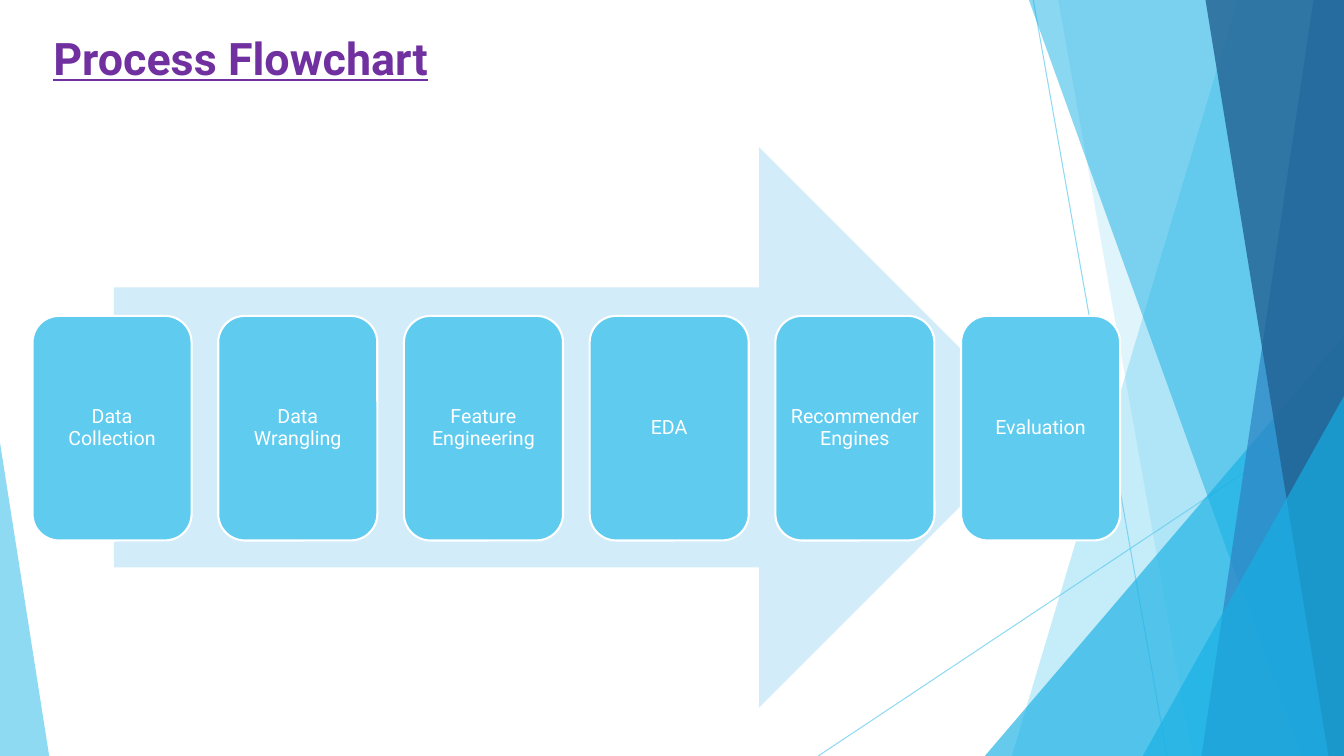
"""Build the process flowchart slide with its faceted blue backdrop."""
from dataclasses import dataclass

from lxml.etree import SubElement
from pptx import Presentation
from pptx.dml.color import RGBColor
from pptx.enum.shapes import MSO_CONNECTOR, MSO_SHAPE as Shape
from pptx.enum.text import MSO_ANCHOR as Anchor, PP_ALIGN as Align
from pptx.oxml.ns import qn
from pptx.util import Cm, Pt

WIDTH, HEIGHT = 33.87, 19.05


@dataclass(frozen=True)
class Theme:
    font: str = "Roboto"
    title_size: int = 32
    card_size: int = 14
    title: str = "7030A0"
    sky: str = "5FCBEF"
    azure: str = "17B0E4"
    blue: str = "2E83C3"
    navy: str = "226292"
    pale: str = "D2ECF9"
    white: str = "FFFFFF"


class SlideBuilder:
    def __init__(self, slide, theme):
        self.slide = slide
        self.shapes = slide.shapes
        self.theme = theme

    def paint(self, fill, color, opacity=100):
        fill.solid()
        fill.fore_color.rgb = RGBColor.from_string(color)
        if opacity < 100:
            for rgb in fill._xPr.iter(qn("a:srgbClr")):
                SubElement(rgb, qn("a:alpha"), val=str(opacity * 1000))

    def finish(self, shape, color, opacity=100):
        shape.shadow.inherit = False
        self.paint(shape.fill, color, opacity)
        shape.line.fill.background()
        return shape

    def preset(self, kind, left, top, width, height, color, opacity=100):
        shape = self.shapes.add_shape(kind, Cm(left), Cm(top), Cm(width), Cm(height))
        return self.finish(shape, color, opacity)

    def triangle(self, left, top, width, apex, color, opacity):
        shape = self.preset(Shape.ISOSCELES_TRIANGLE, left, top, width,
                            HEIGHT - top, color, opacity)
        shape.adjustments[0] = apex

    def band(self, top_x, bottom_x, color, opacity):
        builder = self.shapes.build_freeform(Cm(top_x), 0)
        corners = [(WIDTH, 0), (WIDTH, HEIGHT), (bottom_x, HEIGHT)]
        builder.add_line_segments([(Cm(x), Cm(y)) for x, y in corners])
        self.finish(builder.convert_to_shape(), color, opacity)

    def line(self, start_x, start_y, end_x, end_y):
        connector = self.shapes.add_connector(
            MSO_CONNECTOR.STRAIGHT, Cm(start_x), Cm(start_y), Cm(end_x), Cm(end_y))
        connector.line.width = Pt(0.75)
        self.paint(connector.line.fill, self.theme.sky, 70)
        SubElement(connector._element.spPr, qn("a:effectLst"))

    def label(self, shape, text, align, anchor, size, color):
        frame = shape.text_frame
        frame.text = text
        frame.word_wrap = True
        frame.vertical_anchor = anchor
        paragraph = frame.paragraphs[0]
        paragraph.alignment = align
        font = paragraph.runs[0].font
        font.name = self.theme.font
        font.size = Pt(size)
        font.color.rgb = RGBColor.from_string(color)
        return paragraph

    def title(self, text):
        shape = self.shapes.title
        shape.left, shape.top, shape.width, shape.height = (
            Cm(1.09), Cm(0.64), Cm(24.66), Cm(1.8))
        paragraph = self.label(shape, text, Align.LEFT, Anchor.TOP,
                               self.theme.title_size, self.theme.title)
        font = paragraph.runs[0].font
        font.bold = font.underline = True

    def card(self, left, top, width, height, text):
        shape = self.preset(Shape.ROUNDED_RECTANGLE, left, top, width, height,
                            self.theme.sky)
        self.paint(shape.line.fill, self.theme.white)
        shape.line.width = Pt(1.5)
        paragraph = self.label(shape, text, Align.CENTER, Anchor.MIDDLE,
                               self.theme.card_size, self.theme.white)
        paragraph.line_spacing = 0.9
        frame = shape.text_frame
        frame.margin_left = frame.margin_right = Cm(0.15)
        frame.margin_top = frame.margin_bottom = Cm(0.15)

    def backdrop(self):
        theme = self.theme
        self.line(26.04, 0, 29.41, HEIGHT)
        self.line(WIDTH, 10.24, 20.62, HEIGHT)
        self.band(31.19, 25.5, theme.sky, 36)
        self.band(26.67, 30.05, theme.sky, 20)
        self.triangle(24.82, 8.46, 9.05, 1, theme.azure, 66)
        self.band(25.93, 32.79, theme.azure, 50)
        self.band(33.1, 30.28, theme.blue, 70)
        self.band(30.38, 33.48, theme.navy, 80)
        self.triangle(28.8, 9.98, 5.07, 1, theme.azure, 66)
        self.triangle(0, 11.15, 1.24, 0, theme.sky, 70)

    def process(self, steps):
        self.preset(Shape.RIGHT_ARROW, 2.87, 3.71, 23.32, 14.12, self.theme.pale)
        for index, step in enumerate(steps):
            self.card(0.82 + index * 4.68, 7.96, 4.01, 5.66, step)


def main():
    presentation = Presentation()
    presentation.slide_width, presentation.slide_height = Cm(WIDTH), Cm(HEIGHT)
    slide = presentation.slides.add_slide(presentation.slide_layouts[5])
    builder = SlideBuilder(slide, Theme())
    builder.backdrop()
    builder.title("Process Flowchart")
    builder.process(["Data Collection", "Data Wrangling", "Feature Engineering",
                     "EDA", "Recommender Engines", "Evaluation"])
    presentation.save("out.pptx")


if __name__ == "__main__":
    main()
